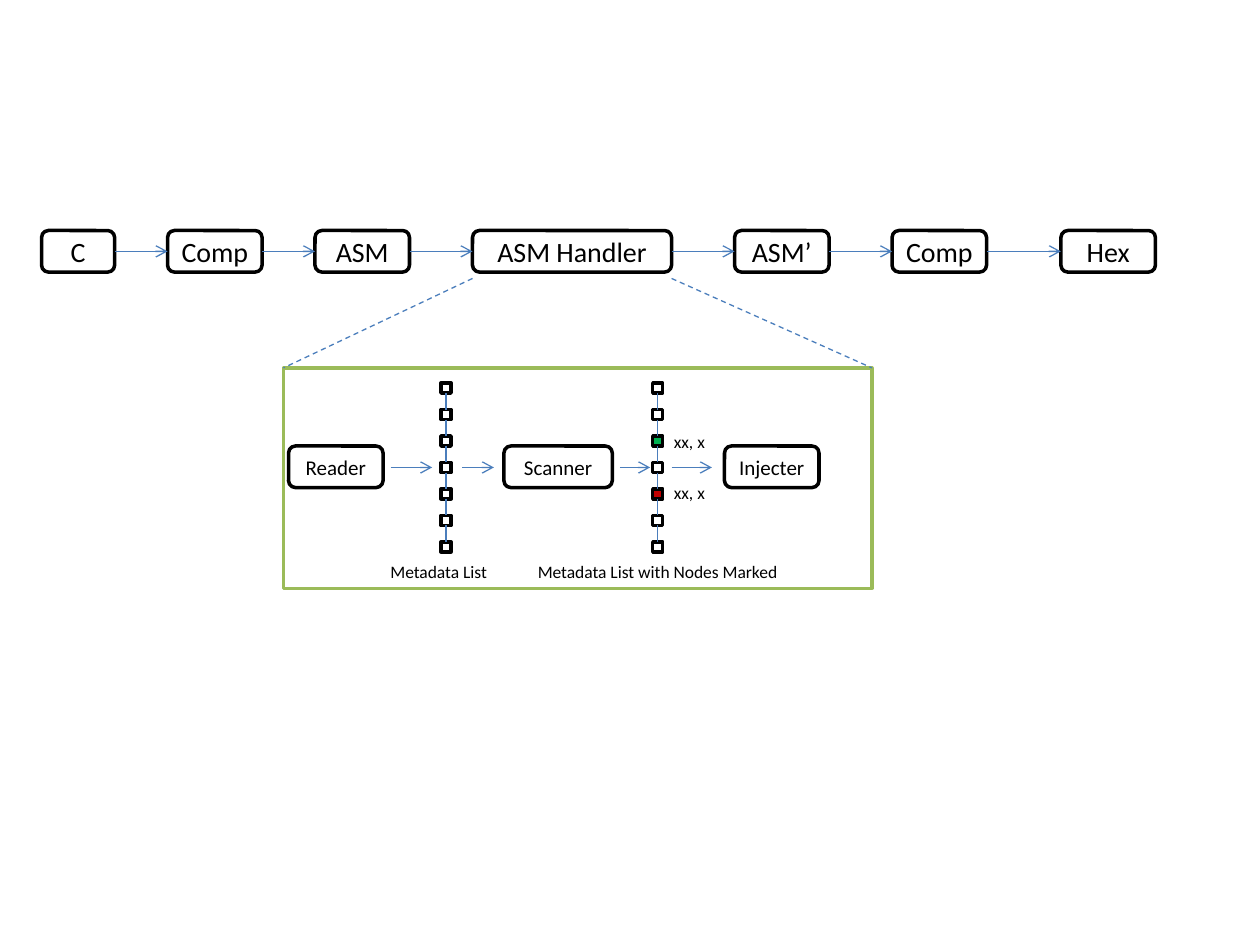
from itertools import pairwise

from pptx import Presentation
from pptx.dml.color import RGBColor
from pptx.enum.dml import MSO_LINE
from pptx.enum.shapes import MSO_CONNECTOR, MSO_SHAPE
from pptx.enum.text import MSO_ANCHOR, MSO_AUTO_SIZE, PP_ALIGN
from pptx.oxml.ns import qn
from pptx.util import Inches, Pt
from lxml.etree import SubElement

BLACK = RGBColor(0x00, 0x00, 0x00)
WHITE = RGBColor(0xFF, 0xFF, 0xFF)
BLUE = RGBColor(0x4B, 0x7E, 0xBC)
LIME = RGBColor(0x9B, 0xBB, 0x59)
GREEN = RGBColor(0x00, 0xB0, 0x50)
RED = RGBColor(0xC0, 0x00, 0x00)

FONT = "Calibri"
BOX_HEIGHT = 0.33
NODE_SIZE = 0.08
NODE_STEP = 0.21
NODE_COUNT = 7
LIST_TOP = 3.04
DETAIL_Y = 3.71

# Main chain: label, left, width
STAGES = [
    ("C", 0.33, 0.58),
    ("Comp", 1.33, 0.75),
    ("ASM", 2.5, 0.75),
    ("ASM Handler", 3.75, 1.58),
    ("ASM’", 5.83, 0.75),
    ("Comp", 7.08, 0.75),
    ("Hex", 8.42, 0.75),
]
# Parts of the handler: label, left, width
PARTS = [("Reader", 2.29, 0.75), ("Scanner", 4, 0.86), ("Injecter", 5.75, 0.75)]
# Arrows between the parts and the lists: start, end
DETAIL_ARROWS = [(3.1, 3.43), (3.67, 3.92), (4.92, 5.16), (5.33, 5.65)]
# Labels: text, left, top, width
LABELS = [
    ("Metadata List", 3, 4.4, 1.08),
    ("Metadata List with Nodes Marked", 4.17, 4.4, 2.17),
    ("xx, x", 5.25, 3.37, 0.48),
    ("xx, x", 5.25, 3.78, 0.48),
]


def write(frame, text, size):
    frame.text = text
    font = frame.paragraphs[0].runs[0].font
    font.name = FONT
    font.size = Pt(size)
    font.color.rgb = BLACK


def add_rect(shapes, left, top, width, height, fill=None, line=BLACK,
             kind=MSO_SHAPE.RECTANGLE):
    rect = shapes.add_shape(kind, Inches(left), Inches(top), Inches(width), Inches(height))
    rect.shadow.inherit = False
    if fill is None:
        rect.fill.background()
    else:
        rect.fill.solid()
        rect.fill.fore_color.rgb = fill
    rect.line.color.rgb = line
    rect.line.width = Pt(2)
    return rect


def add_box(shapes, text, left, top, width, size):
    box = add_rect(shapes, left, top, width, BOX_HEIGHT, WHITE,
                   kind=MSO_SHAPE.ROUNDED_RECTANGLE)
    frame = box.text_frame
    frame.margin_left = frame.margin_right = 0
    frame.vertical_anchor = MSO_ANCHOR.MIDDLE
    write(frame, text, size)
    frame.paragraphs[0].alignment = PP_ALIGN.CENTER
    return box


def add_line(shapes, x1, y1, x2, y2, arrow=False, dashed=False):
    line = shapes.add_connector(MSO_CONNECTOR.STRAIGHT, Inches(x1), Inches(y1),
                                Inches(x2), Inches(y2))
    line.line.color.rgb = BLUE
    line.line.width = Pt(0.75)
    if dashed:
        line.line.dash_style = MSO_LINE.DASH
    properties = line._element.spPr
    if arrow:
        SubElement(properties.find(qn("a:ln")), qn("a:tailEnd"), type="arrow")
    SubElement(properties, qn("a:effectLst"))
    return line


def add_label(shapes, text, left, top, width):
    label = shapes.add_textbox(Inches(left), Inches(top), Inches(width), Inches(0.27))
    label.text_frame.word_wrap = True
    label.text_frame.auto_size = MSO_AUTO_SIZE.SHAPE_TO_FIT_TEXT
    write(label.text_frame, text, 10)


def add_node_list(page, left, marks):
    """Stack linked nodes; marks maps a node's index to its colour."""
    group = page.shapes.add_group_shape().shapes
    middle = left + NODE_SIZE / 2
    previous = None
    for index in range(NODE_COUNT):
        top = LIST_TOP + index * NODE_STEP
        node = add_rect(group, left, top, NODE_SIZE, NODE_SIZE, marks.get(index, WHITE))
        if previous:
            link = add_line(group, middle, top - NODE_STEP + NODE_SIZE, middle, top)
            link.begin_connect(previous, 2)
            link.end_connect(node, 0)
        previous = node


def main():
    deck = Presentation()
    deck.slide_width, deck.slide_height = Inches(10), Inches(7.5)
    page = deck.slides.add_slide(deck.slide_layouts[6])
    shapes = page.shapes

    # Main chain
    boxes = [add_box(shapes, text, left, 1.83, width, 16) for text, left, width in STAGES]
    for source, target in pairwise(boxes):
        arrow = add_line(shapes, 0, 2, 1, 2, arrow=True)
        arrow.begin_connect(source, 3)
        arrow.end_connect(target, 1)

    # Metadata lists, plain and marked
    add_node_list(page, 3.5, {})
    add_node_list(page, 5.18, {2: GREEN, 4: RED})
    for start, end in DETAIL_ARROWS:
        add_line(shapes, start, DETAIL_Y, end, DETAIL_Y, arrow=True)

    # Frame of the handler's detail
    add_rect(shapes, 2.25, 2.92, 4.67, 1.75, line=LIME)
    for top_x, bottom_x in [(3.75, 2.25), (5.33, 6.92)]:
        add_line(shapes, top_x, 2.21, bottom_x, 2.92, dashed=True)

    # Labels and parts of the handler
    for label in LABELS:
        add_label(shapes, *label)
    for text, left, width in PARTS:
        add_box(shapes, text, left, 3.54, width, 12)

    deck.save("out.pptx")


if __name__ == "__main__":
    main()
